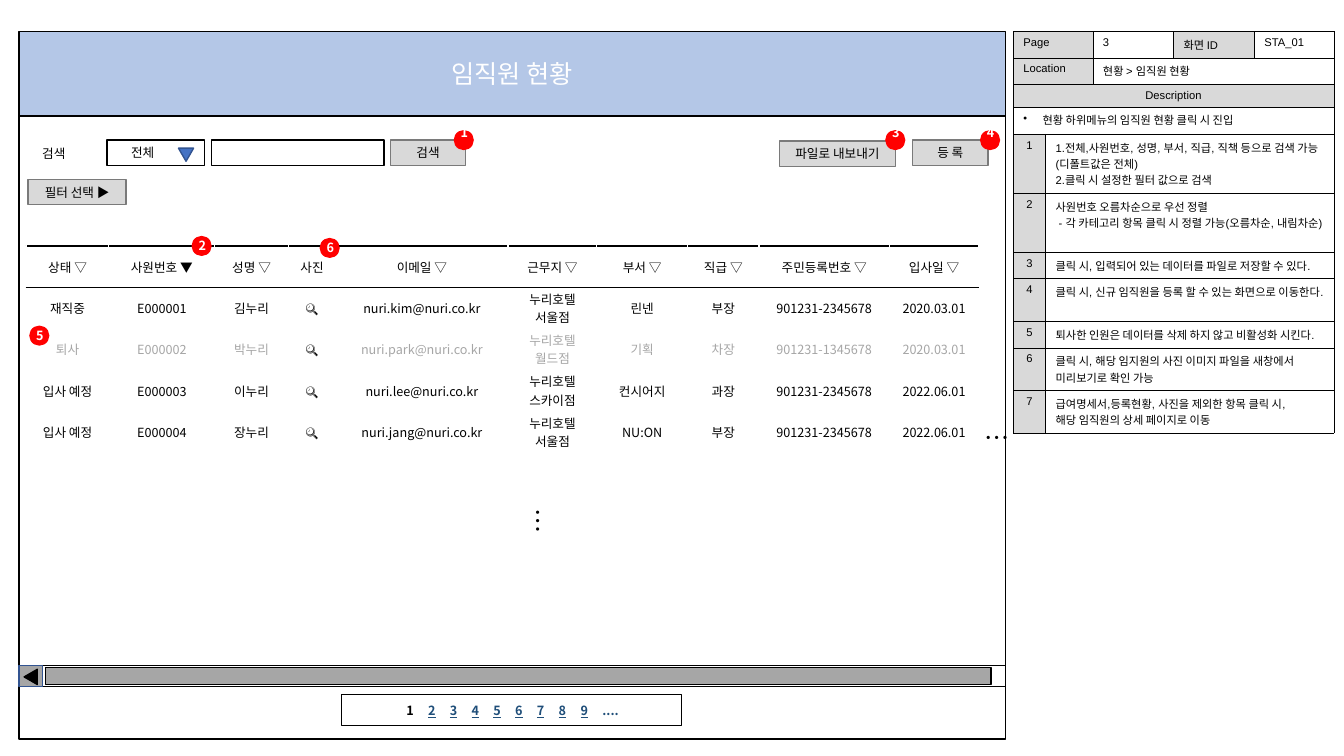
import pptx
import pptx.util
import pptx.dml.color
import pptx.enum.shapes
import pptx.enum.text
import pptx.oxml
import pptx.oxml.ns
from dataclasses import dataclass
from lxml import etree

Inches, Pt = pptx.util.Inches, pptx.util.Pt
SHAPE = pptx.enum.shapes.MSO_SHAPE
ALIGN = pptx.enum.text.PP_ALIGN
ANCHOR = pptx.enum.text.MSO_ANCHOR
FIT = pptx.enum.text.MSO_AUTO_SIZE
qn = pptx.oxml.ns.qn


@dataclass(frozen=True)
class Theme:
    sans: str = "Noto Sans CJK KR"
    panel_font: str = "Arial"
    black: str = "000000"
    white: str = "FFFFFF"
    header: str = "B4C7E7"
    button: str = "D9D9D9"
    button_line: str = "7A7A7A"
    muted: str = "A6A6A6"
    accent: str = "4472C4"
    accent_line: str = "325491"
    link: str = "1F4E79"
    badge: str = "FF0000"
    title_size: int = 18
    text_size: int = 9
    panel_size: int = 8


def rgb(value):
    return pptx.dml.color.RGBColor.from_string(value)


class Screen:
    def __init__(self, page, theme):
        self.page, self.theme = page, theme

    def span(self, para, text, color=None, size=None, font=None, bold=False, underline=False):
        span = para.add_run()
        span.text = text
        span.font.name = font or self.theme.sans
        span.font.size = Pt(size or self.theme.text_size)
        span.font.bold, span.font.underline = bold, underline
        span.font.color.rgb = rgb(color or self.theme.black)
        east_asian = etree.Element(qn("a:ea"), typeface=self.theme.sans)
        span.font._element.find(qn("a:latin")).addnext(east_asian)

    def paint(self, box, fill, line):
        if fill:
            box.fill.solid()
            box.fill.fore_color.rgb = rgb(fill)
        else:
            box.fill.background()
        if line:
            box.line.color.rgb = rgb(line)
            box.line.width = Pt(1)
        else:
            box.line.fill.background()

    def title(self, text, at):
        box = self.page.shapes.title
        box.left, box.top, box.width, box.height = map(Inches, at)
        self.paint(box, self.theme.header, self.theme.black)
        box.text_frame.auto_size = FIT.NONE
        box.text_frame.vertical_anchor = ANCHOR.MIDDLE
        para = box.text_frame.paragraphs[0]
        para.alignment = ALIGN.CENTER
        self.span(para, text, self.theme.white, self.theme.title_size)

    def shape(self, at, fill="FFFFFF", line="000000", kind=SHAPE.RECTANGLE, turn=0):
        box = self.page.shapes.add_shape(kind, *map(Inches, at))
        box.shadow.inherit = False
        box.rotation = turn
        self.paint(box, fill, line)
        box.text_frame.vertical_anchor = ANCHOR.MIDDLE
        box.text_frame.paragraphs[0].alignment = ALIGN.CENTER
        return box

    def button(self, text, at):
        box = self.shape(at, self.theme.button, self.theme.button_line)
        self.span(box.text_frame.paragraphs[0], text)

    def badge(self, text, left, top):
        box = self.shape((left, top, 0.2, 0.2), self.theme.badge, None, SHAPE.OVAL)
        frame = box.text_frame
        frame.margin_left = frame.margin_right = Inches(0.04)
        frame.margin_top = frame.margin_bottom = Inches(0.04)
        self.span(frame.paragraphs[0], text, self.theme.white, bold=True)

    def label(self, text, at, size=None, turn=0, wrap=False, indent=0.1):
        box = self.page.shapes.add_textbox(*map(Inches, at))
        box.rotation = turn
        box.text_frame.word_wrap = wrap
        box.text_frame.auto_size = FIT.SHAPE_TO_FIT_TEXT
        box.text_frame.margin_left = Inches(indent)
        self.span(box.text_frame.paragraphs[0], text, size=size)

    def pager(self, marks, at, indent, pitch):
        box = self.shape(at, None)
        box.text_frame.margin_left = Inches(indent)
        para = box.text_frame.paragraphs[0]
        para.alignment = ALIGN.LEFT
        tabs = etree.SubElement(para._p.get_or_add_pPr(), qn("a:tabLst"))
        for index, mark in enumerate(marks):
            color = self.theme.link if index else self.theme.black
            if index:
                etree.SubElement(tabs, qn("a:tab"), pos=str(Inches(pitch * index)), algn="l")
                self.span(para, "\t", color, bold=True)
            self.span(para, mark, color, bold=True, underline=mark.isdigit() and index > 0)

    def table(self, at, widths, heights):
        grid = self.page.shapes.add_table(len(heights), len(widths), *map(Inches, at)).table
        grid.first_row = grid.horz_banding = False
        for column, width in zip(grid.columns, widths):
            column.width = Inches(width)
        for row, height in zip(grid.rows, heights):
            row.height = Inches(height)
        return grid

    def cell(self, cell, fill, edges, width):
        """Edges are the left, right, top and bottom colours."""
        cell.fill.solid()
        cell.fill.fore_color.rgb = rgb(fill)
        properties = cell._tc.get_or_add_tcPr()
        for index, (side, color) in enumerate(zip("LRTB", edges)):
            line = etree.Element(qn(f"a:ln{side}"), w=str(Pt(width)))
            solid = etree.SubElement(line, qn("a:solidFill"))
            etree.SubElement(solid, qn("a:srgbClr"), val=color)
            properties.insert(index, line)

    def cell_text(self, cell, text, align, bullet=False, **style):
        for index, line in enumerate(text.split("\n")):
            frame = cell.text_frame
            para = frame.add_paragraph() if index else frame.paragraphs[0]
            para.alignment = align
            if bullet:
                properties = para._p.get_or_add_pPr()
                properties.set("marL", str(Inches(0.19)))
                properties.set("indent", str(-Inches(0.19)))
                etree.SubElement(properties, qn("a:buChar"), char="•")
            self.span(para, line, **style)


def staff_table(screen):
    theme = screen.theme
    people = [
        ["상태 ▽", "사원번호 ▼", "성명 ▽", "사진", "이메일 ▽", "근무지 ▽", "부서 ▽", "직급 ▽",
         "주민등록번호 ▽", "입사일 ▽"],
        ["재직중", "E000001", "김누리", "🔍", "nuri.kim@nuri.co.kr", "누리호텔\n서울점", "린넨", "부장",
         "901231-2345678", "2020.03.01"],
        ["퇴사", "E000002", "박누리", "🔍", "nuri.park@nuri.co.kr", "누리호텔\n월드점", "기획", "차장",
         "901231-1345678", "2020.03.01"],
        ["입사 예정", "E000003", "이누리", "🔍", "nuri.lee@nuri.co.kr", "누리호텔\n스카이점", "컨시어지", "과장",
         "901231-2345678", "2022.06.01"],
        ["입사 예정", "E000004", "장누리", "🔍", "nuri.jang@nuri.co.kr", "누리호텔\n서울점", "NU:ON", "부장",
         "901231-2345678", "2022.06.01"],
    ]
    widths = [0.82, 1.05, 0.73, 0.47, 1.71, 0.88, 0.9, 0.71, 1.29, 0.89]
    grid = screen.table((0.26, 2.44, 9.45, 4.06), widths, [0.41] * 10)
    for r, row in enumerate(grid.rows):
        top = theme.black if r < 2 else theme.white
        bottom = theme.black if r == 0 else theme.white
        for c, cell in enumerate(row.cells):
            screen.cell(cell, theme.white, (theme.white, theme.white, top, bottom), 1)
            cell.margin_top = cell.margin_bottom = Inches(0.02)
            cell.vertical_anchor = ANCHOR.MIDDLE
            if r < len(people):
                text = people[r][c]
                left_company = people[r][0] == "퇴사" and text != "🔍"
                screen.cell_text(cell, text, ALIGN.CENTER,
                                 color=theme.muted if left_company else theme.black)


def description_table(screen):
    theme = screen.theme
    notes = [
        "1.전체,사원번호, 성명, 부서, 직급, 직책 등으로 검색 가능 (디폴트값은 전체)\n2.클릭 시 설정한 필터 값으로 검색",
        "사원번호 오름차순으로 우선 정렬\n - 각 카테고리 항목 클릭 시 정렬 가능(오름차순, 내림차순)",
        "클릭 시, 입력되어 있는 데이터를 파일로 저장할 수 있다.",
        "클릭 시, 신규 임직원을 등록 할 수 있는 화면으로 이동한다.",
        "퇴사한 인원은 데이터를 삭제 하지 않고 비활성화 시킨다.",
        "클릭 시, 해당 임지원의 사진 이미지 파일을 새창에서 미리보기로 확인 가능",
        "급여명세서,등록현황, 사진을 제외한 항목 클릭 시,\n해당 임직원의 상세 페이지로 이동",
    ]
    # Each entry: text, columns spanned, shaded, alignment
    left, center = ALIGN.LEFT, ALIGN.CENTER
    rows = [
        [("Page", 2, True, left), ("3", 1, False, left), ("화면 ID", 1, True, left), ("STA_01", 1, False, left)],
        [("Location", 2, True, left), ("현황 > 임직원 현황", 3, False, left)],
        [("Description", 5, True, center)],
        [("현황 하위메뉴의 임직원 현황 클릭 시 진입", 5, False, left)],
    ]
    rows += [[(str(n), 1, True, center), (note, 4, False, left)] for n, note in enumerate(notes, 1)]
    heights = [0.26, 0.26, 0.22, 0.27, 0.58, 0.58, 0.26, 0.42, 0.26, 0.42, 0.42]
    grid = screen.table((10.05, 0.31, 3.18, 3.95), [0.32, 0.47, 0.8, 0.8, 0.79], heights)
    for r, entries in enumerate(rows):
        c = 0
        for text, columns, shaded, align in entries:
            for k in range(c, c + columns):
                screen.cell(grid.cell(r, k), theme.button if shaded else theme.white, [theme.black] * 4, 0.25)
            if columns > 1:
                grid.cell(r, c).merge(grid.cell(r, c + columns - 1))
            screen.cell_text(grid.cell(r, c), text, align, bullet=r == 3,
                             size=theme.panel_size, font=theme.panel_font)
            c += columns


def main():
    deck = pptx.Presentation()
    deck.slide_width, deck.slide_height = Inches(13.33), Inches(7.5)
    theme = Theme()
    screen = Screen(deck.slides.add_slide(deck.slide_layouts[5]), theme)

    # Header, frame and description panel
    screen.title("임직원 현황", (0.19, 0.31, 9.78, 0.84))
    screen.shape((0.19, 1.15, 9.78, 6.18))
    description_table(screen)

    # Search bar
    screen.label("검색", (0.32, 1.4, 0.45, 0.25))
    screen.shape((2.1, 1.39, 1.71, 0.25))
    screen.shape((1.06, 1.39, 0.97, 0.25))
    screen.shape((1.77, 1.47, 0.15, 0.13), theme.accent, theme.accent_line, SHAPE.ISOSCELES_TRIANGLE, 180)
    screen.label("전체", (1.06, 1.39, 0.97, 0.25), wrap=True, indent=0.24)
    for text, left, top, width in [("검색", 3.87, 1.39, 0.75), ("파일로 내보내기", 7.73, 1.4, 1.15),
                                   ("등 록", 9.05, 1.39, 0.75), ("필터 선택 ▶", 0.28, 1.78, 0.97)]:
        screen.button(text, (left, top, width, 0.25))

    # Scroll bar and page numbers
    screen.shape((0.19, 6.6, 9.78, 0.21))
    screen.shape((0.19, 6.6, 0.23, 0.21), theme.muted, theme.accent_line)
    screen.shape((0.23, 6.65, 0.15, 0.13), theme.black, theme.black, SHAPE.ISOSCELES_TRIANGLE, 270)
    screen.shape((0.45, 6.62, 9.38, 0.17), theme.muted)
    screen.pager([*"123456789", "...."], (3.39, 6.89, 3.37, 0.31), 0.64, 0.216)

    # Staff list with continuation marks
    staff_table(screen)
    screen.label("…", (9.67, 4.14, 0.39, 0.4), theme.title_size)
    screen.label("…", (5.15, 4.94, 0.39, 0.4), theme.title_size, turn=90)

    # Numbered badges
    for text, left, top in [("1 ", 4.5, 1.29), ("2", 1.9, 2.34), ("3 ", 8.78, 1.29),
                            ("4 ", 9.72, 1.29), ("5", 0.29, 3.23), ("6", 3.17, 2.36)]:
        screen.badge(text, left, top)

    deck.save("out.pptx")


if __name__ == "__main__":
    main()
